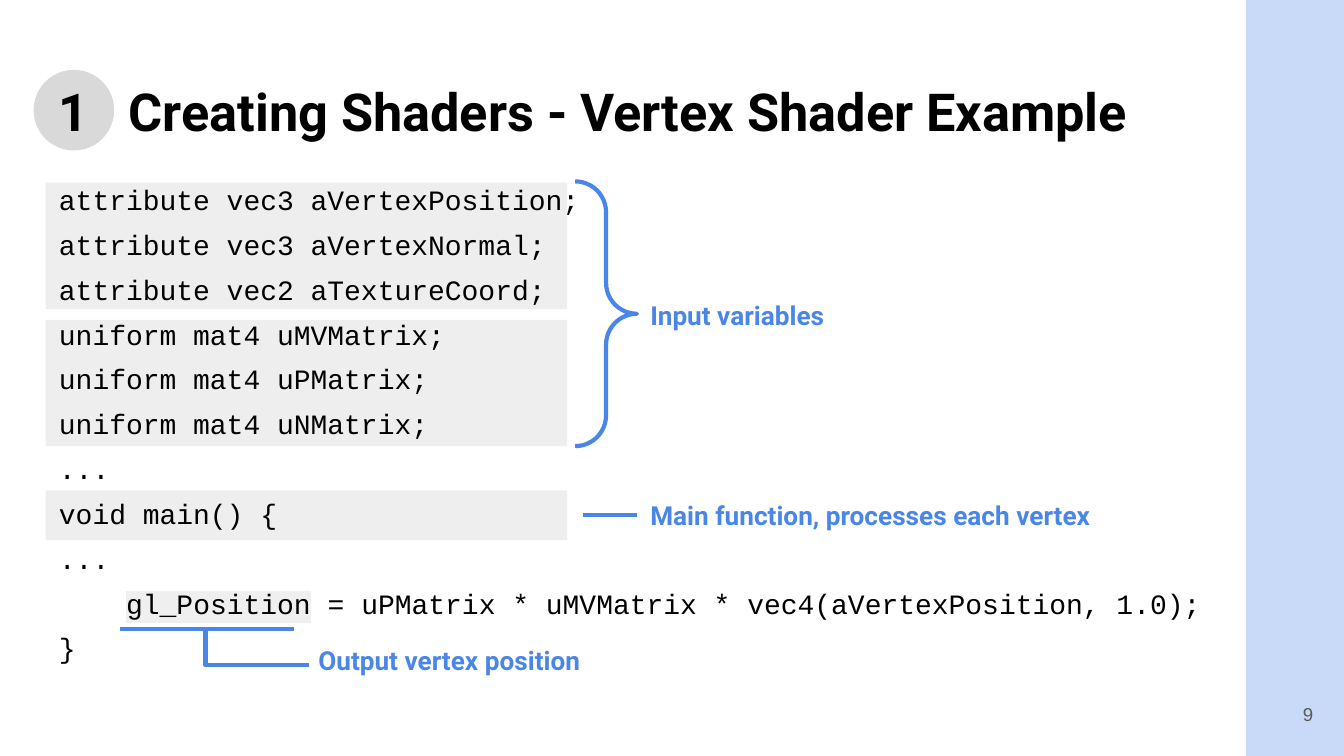
from pptx import Presentation
from pptx.dml.color import RGBColor
from pptx.enum.shapes import MSO_CONNECTOR, MSO_SHAPE
from pptx.enum.text import MSO_ANCHOR, PP_ALIGN
from pptx.oxml.ns import qn
from pptx.util import Inches, Pt
from lxml import etree

RECTANGLE, OVAL, BRACE = MSO_SHAPE.RECTANGLE, MSO_SHAPE.OVAL, MSO_SHAPE.RIGHT_BRACE
STRAIGHT = MSO_CONNECTOR.STRAIGHT
TOP, MIDDLE = MSO_ANCHOR.TOP, MSO_ANCHOR.MIDDLE
LEFT, RIGHT = PP_ALIGN.LEFT, PP_ALIGN.RIGHT

THEME = {
    "sidebar": RGBColor.from_string("C9DAF8"),
    "band": RGBColor.from_string("EEEEEE"),
    "badge": RGBColor.from_string("D9D9D9"),
    "accent": RGBColor.from_string("4A86E8"),
    "highlight": "EFEFEF",
    "line": Pt(2.25),
    "title": ("Roboto", 28, True, RGBColor.from_string("000000")),
    "code": ("Courier New", 15, False, RGBColor.from_string("000000")),
    "label": ("Roboto", 14, True, RGBColor.from_string("4A86E8")),
    "number": ("Arial", 10, False, RGBColor.from_string("595959")),
}

presentation = Presentation()
presentation.slide_width = Inches(10)
presentation.slide_height = presentation.slide_width * 9 // 16
slide = presentation.slides.add_slide(presentation.slide_layouts[6])

# Square grid: 100 columns by 56.25 rows
UNIT = presentation.slide_width / 100


def grid(*cells):
    return [round(cell * UNIT) for cell in cells]


def add_text(shapes, cells, style, paragraphs, anchor=TOP, align=LEFT):
    """Add a text box; each paragraph is a list of run texts."""
    box = shapes.add_textbox(*grid(*cells))
    frame = box.text_frame
    frame.word_wrap = True
    frame.vertical_anchor = anchor
    frame.margin_left = frame.margin_right = Inches(0.1)
    frame.margin_top = frame.margin_bottom = Inches(0.1)
    for index, texts in enumerate(paragraphs):
        paragraph = frame.paragraphs[0] if index == 0 else frame.add_paragraph()
        paragraph.alignment = align
        for text in texts:
            run = paragraph.add_run()
            run.text = text
            run.font.name, size, run.font.bold, run.font.color.rgb = THEME[style]
            run.font.size = Pt(size)
    return box


# Sidebar, code bands and number badge
for kind, cells, color in (
    (RECTANGLE, (92.7, 0, 7.3, 56.25), "sidebar"),
    (RECTANGLE, (3.4, 36.5, 38.8, 3.7), "band"),
    (RECTANGLE, (3.4, 23.8, 38.8, 9.4), "band"),
    (RECTANGLE, (3.4, 13.6, 38.8, 9.4), "band"),
    (OVAL, (2.5, 5.2, 6, 6), "badge"),
):
    shape = slide.shapes.add_shape(kind, *grid(*cells))
    shape.shadow.inherit = False
    shape.fill.solid()
    shape.fill.fore_color.rgb = THEME[color]
    shape.line.fill.background()

# Title, with a tab stop between the number and the words
title = add_text(slide.shapes, (3.4, 4.9, 93.2, 6.3), "title",
                 [["1\tCreating Shaders - Vertex Shader Example"]])
properties = title.text_frame.paragraphs[0]._p.get_or_add_pPr()
tabs = etree.SubElement(properties, qn("a:tabLst"))
etree.SubElement(tabs, qn("a:tab"), pos=str(grid(5.2)[0]), algn="l")

# Shader code
code = add_text(slide.shapes, (3.4, 12.6, 89.2, 38.4), "code", [
    ["attribute vec3 aVertexPosition;"],
    ["attribute vec3 aVertexNormal;"],
    ["attribute vec2 aTextureCoord;"],
    ["uniform mat4 uMVMatrix;"],
    ["uniform mat4 uPMatrix;"],
    ["uniform mat4 uNMatrix;"],
    ["..."],
    ["void main() {"],
    ["..."],
    ["    ", "gl_Position", " = uPMatrix * uMVMatrix * vec4(aVertexPosition, 1.0);"],
    ["}"],
])
for index, paragraph in enumerate(code.text_frame.paragraphs):
    if index:
        paragraph.space_before = Pt(6)
    for run in paragraph.runs:
        if run.text == "gl_Position":
            highlight = etree.Element(qn("a:highlight"))
            etree.SubElement(highlight, qn("a:srgbClr"), val=THEME["highlight"])
            run.font._element.find(qn("a:solidFill")).addnext(highlight)

add_text(slide.shapes, (92.7, 51, 6, 4.3), "number", [["9"]], MIDDLE, RIGHT)

# Annotations
output_group = slide.shapes.add_group_shape()
for shapes, cells, text in (
    (slide.shapes, (47.4, 13.6, 37.6, 19.7), "Input variables"),
    (slide.shapes, (47.4, 36.5, 37.6, 3.7), "Main function, processes each vertex"),
    (output_group.shapes, (22.7, 47.3, 42.7, 3.7), "Output vertex position"),
):
    add_text(shapes, cells, "label", [[text]], MIDDLE)

brace = slide.shapes.add_shape(BRACE, *grid(42.8, 13.5, 4.6, 19.7))
brace.adjustments[0] = brace.adjustments[1] = 0.5

elbow_builder = output_group.shapes.build_freeform(*grid(15.3, 46.8))
elbow_builder.add_line_segments([grid(15.3, 49.5), grid(23, 49.5)], close=False)
elbow = elbow_builder.convert_to_shape()

for outline in (brace, elbow):
    outline.shadow.inherit = False
    outline.fill.background()
    outline.line.color.rgb = THEME["accent"]
    outline.line.width = THEME["line"]

for shapes, cells in (
    (slide.shapes, (47.4, 38.3, 43.4, 38.3)),
    (output_group.shapes, (8.9, 46.8, 21.9, 46.8)),
):
    connector = shapes.add_connector(STRAIGHT, *grid(*cells))
    connector.line.color.rgb = THEME["accent"]
    connector.line.width = THEME["line"]
    etree.SubElement(connector._element.spPr, qn("a:effectLst"))

presentation.save("out.pptx")
